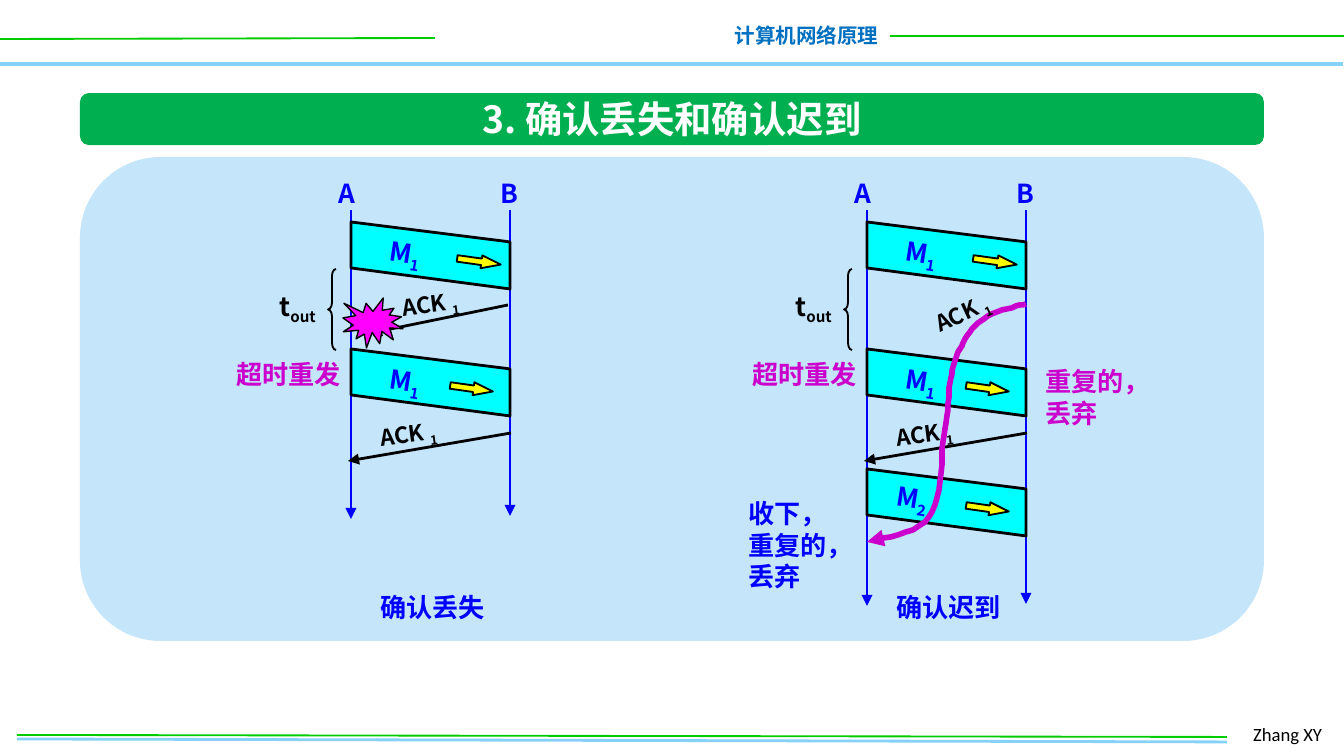
import pptx
import pptx.util
import pptx.dml.color
import pptx.enum.shapes
import pptx.enum.text
import pptx.oxml.ns
from lxml import etree

THEME = dict(
    blue="0000FF", purple="CC00CC", black="000000", white="FFFFFF", cyan="00FFFF",
    yellow="FFFF00", pink="FF00FF", sky="85D1F7", lime="00CC00", head="0070C0",
    green="00B050", panel="C5E5FB",
    font="Noto Sans CJK SC", latin="Calibri",
    title=20, body=14, ack=12, top=11, foot=10, lead=17,
)
EMU = 914400 / 134.4  # one px
SIZE = (1344, 756)

RULES = [  # from, to, colour, width
    ((0, 64), (1343, 64), "sky", 2),
    ((0, 39), (435, 38), "lime", 1),
    ((890, 36), (1344, 36), "lime", 1),
    ((17, 739), (1227, 742), "sky", 1.5),
    ((17, 735), (1227, 737), "lime", 1),
]
GAP = 159  # between the lanes of A and B
TOP = 210
CASES = [
    dict(x=351, ends=(519, 516), name="确认丢失", lost=True),
    dict(x=867, ends=(606, 604), name="确认迟到", lost=False),
]
# top, number, arrow offset and width, label offset
FIRST = (222, "1", (106, 33, 44), (25, 11))
AGAIN = (349, "1", (99, 33, 43), (25, 12))
NEXT = (469, "2", (99, 33, 43), (16, 9))
NOTES = [  # box, lines, colour
    ((735, 490, 141, 109), ["收下，", "重复的，", "丢弃"], "blue"),
    ((1032, 358, 134, 77), ["重复的，", "丢弃"], "purple"),
]
START = (1026, 304)
BENDS = [  # two handles and an end for each piece of the late ACK
    ((1019, 306), (996, 310), (984, 319)),
    ((973, 325), (965, 339), (960, 349)),
    ((954, 360), (953, 367), (950, 383)),
    ((948, 398), (948, 421), (943, 442)),
    ((941, 465), (942, 501), (929, 517)),
    ((917, 535), (880, 538), (867, 542)),
]

KIND = pptx.enum.shapes.MSO_SHAPE
ALIGN = pptx.enum.text.PP_ALIGN
qn = pptx.oxml.ns.qn
deck = pptx.Presentation()
deck.slide_width, deck.slide_height = [round(v * EMU) for v in SIZE]
shapes = deck.slides.add_slide(deck.slide_layouts[6]).shapes


def px(*vals):
    return [round(v * EMU) for v in vals]


def rgb(name):
    return pptx.dml.color.RGBColor.from_string(THEME[name])


def stroke(line, color, width, head=False):
    line.color.rgb = rgb(color)
    line.width = pptx.util.Pt(width)
    if head:
        etree.SubElement(line._get_or_add_ln(), qn("a:tailEnd"), type="triangle")


def paint(shape, fill=None, edge=None, width=1, head=False):
    shape.shadow.inherit = False
    if fill:
        shape.fill.solid()
        shape.fill.fore_color.rgb = rgb(fill)
    else:
        shape.fill.background()
    if edge:
        stroke(shape.line, edge, width, head)
    else:
        shape.line.fill.background()


def block(kind, box, adjust=(), turn=0, **look):
    shape = shapes.add_shape(kind, *px(*box))
    for i, val in enumerate(adjust):
        shape.adjustments[i] = val
    shape.rotation = turn
    paint(shape, **look)


def line(start, end, color, width, head=False):
    link = shapes.add_connector(
        pptx.enum.shapes.MSO_CONNECTOR.STRAIGHT, *px(*start, *end))
    stroke(link.line, color, width, head)
    etree.SubElement(link._element.spPr, qn("a:effectLst"))


def outline(points, close=True, **look):
    pen = shapes.build_freeform(*points[0], scale=EMU)
    pen.add_line_segments(points[1:], close=close)
    paint(pen.convert_to_shape(), **look)


def text(box, *lines, sub="", color="blue", size="body", font="font", bold=True,
         align=ALIGN.LEFT, turn=0, wrap=False):
    """Add a text box; sub is a subscript after the last line."""
    shape = shapes.add_textbox(*px(*box))
    shape.rotation = turn
    frame = shape.text_frame
    frame.word_wrap = wrap
    frame.vertical_anchor = pptx.enum.text.MSO_ANCHOR.MIDDLE
    for i, words in enumerate(lines):
        para = frame.add_paragraph() if i else frame.paragraphs[0]
        para.alignment = align
        if len(lines) > 1:
            para.line_spacing = pptx.util.Pt(THEME["lead"])
        tail = sub if i == len(lines) - 1 else ""
        for part, base in ((words, None), (tail, "-25000")):
            if not part:
                continue
            run = para.add_run()
            run.text = part
            run.font.size = pptx.util.Pt(THEME[size])
            run.font.bold = bold
            run.font.color.rgb = rgb(color)
            run.font.name = THEME[font]
            props = run._r.get_or_add_rPr()
            etree.SubElement(props, qn("a:ea"), typeface=THEME[font])
            if base:
                props.set("baseline", base)


def message(x, top, num, arrow, label):
    outline([(x, top), (x + GAP, top + 20), (x + GAP, top + 67), (x, top + 46)],
            fill="cyan", edge="black", width=1.5)
    dx, dy, wide = arrow
    block(KIND.RIGHT_ARROW, (x + dx, top + dy, wide, 13), (0.5, 1.5), turn=8,
          fill="yellow", edge="black")
    text((x + label[0], top + label[1], 65, 44), "M", sub=num, turn=9)


def ack(x, y, turn=-7.2):
    text((x, y, 91, 40), "ACK ", sub="1", color="black", size="ack", turn=turn)


def bend(start, pieces, steps=10):
    """Points along a chain of cubic curves."""
    points = [start]
    for one, two, end in pieces:
        for i in range(1, steps + 1):
            t = i / steps
            u = 1 - t
            points.append(tuple(
                u**3 * a + 3 * u * u * t * b + 3 * u * t * t * c + t**3 * d
                for a, b, c, d in zip(start, one, two, end)))
        start = end
    return points


def case(x, ends, name, lost):
    for i, end in enumerate(ends):
        lane = x + i * GAP
        line((lane, TOP), (lane, end), "blue", 1.5, head=True)
        text((lane - 26 + 3 * i, 171, 46, 44), "AB"[i])
    message(x, *FIRST)
    message(x, *AGAIN)
    text((x + 16, 584, 133, 46), name)
    line((x + 160, 433), (x - 3, 461), "black", 1.5, head=True)
    ack(x + 16, 415)
    text((x - 128, 351, 133, 46), "超时重发", color="purple")
    block(KIND.LEFT_BRACE, (x - 23, 269, 8, 81), (0.87, 0.5), edge="black")
    text((x - 85, 284, 74, 48), "t", sub="out", color="black")
    if lost:
        line((x + 157, 305), (x + 20, 333), "black", 1.5, head=True)
        ack(x + 38, 285)
        block(KIND.EXPLOSION1, (x - 8, 298, 60, 50), fill="pink", edge="black",
              width=0.75)
    else:
        message(x, *NEXT)
        outline(bend(START, BENDS), close=False, edge="purple", width=3, head=True)
        ack(x + 54, 293, turn=-24.7)


for rule in RULES:
    line(*rule)
text((720, 16, 172, 39), "计算机网络原理", color="head", size="top", align=ALIGN.RIGHT)
text((1240, 716, 100, 36), "Zhang XY", color="black", size="foot", font="latin",
     bold=False, wrap=True)
block(KIND.ROUNDED_RECTANGLE, (80, 93, 1184, 52), (0.17,), fill="green")
text((422, 89, 500, 59), "3. 确认丢失和确认迟到", color="white", size="title",
     align=ALIGN.CENTER, wrap=True)
block(KIND.ROUNDED_RECTANGLE, (80, 157, 1184, 484), fill="panel")
for item in CASES:
    case(**item)
for box, lines, color in NOTES:
    text(box, *lines, color=color, wrap=True)
deck.save("out.pptx")
